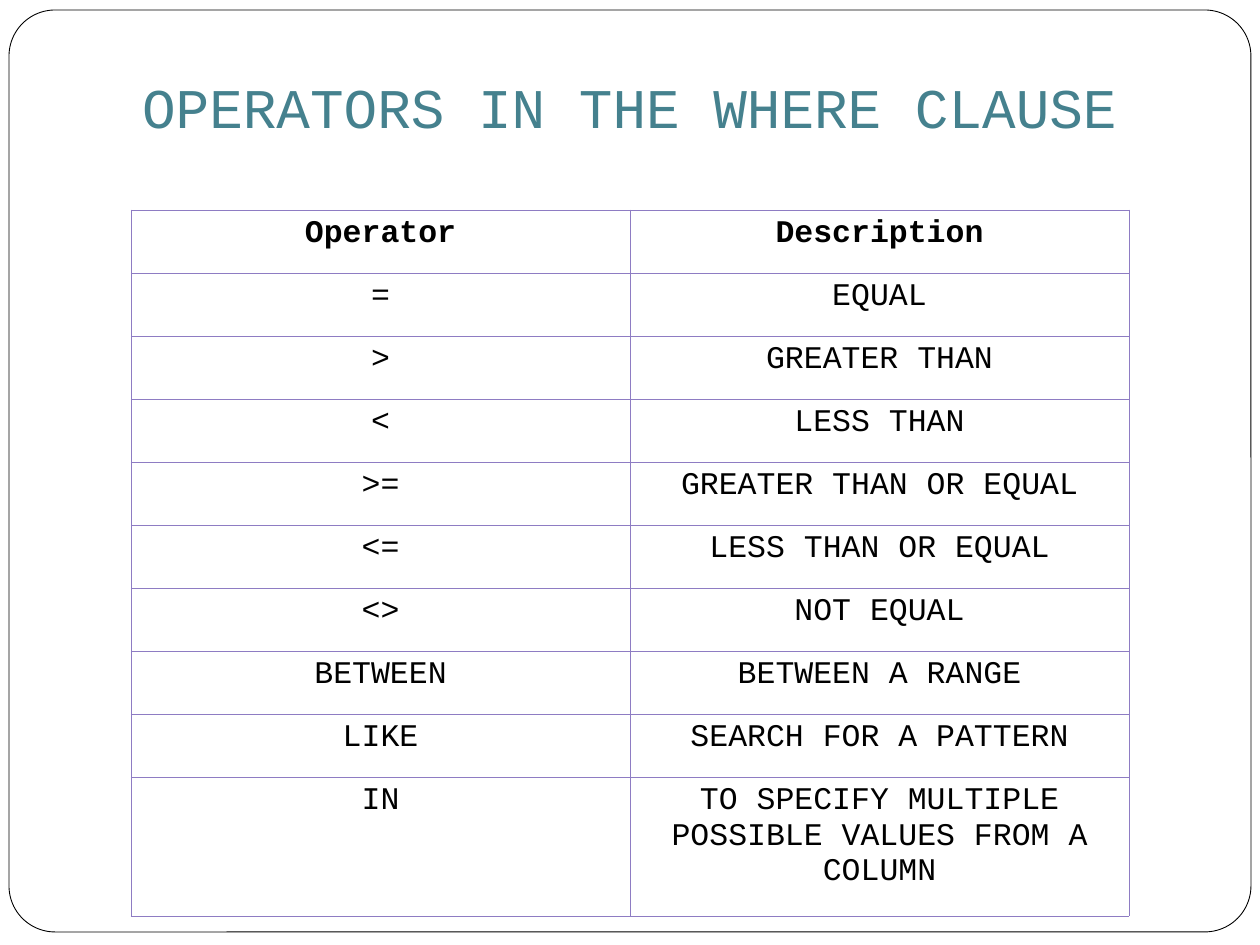
from dataclasses import dataclass

from lxml import etree
from pptx import Presentation
from pptx.dml.color import RGBColor
from pptx.enum.shapes import MSO_SHAPE
from pptx.enum.text import MSO_ANCHOR, PP_ALIGN
from pptx.oxml.ns import qn
from pptx.util import Emu, Pt

ROUND = MSO_SHAPE.ROUNDED_RECTANGLE
CENTER = PP_ALIGN.CENTER
TOP = MSO_ANCHOR.TOP
SCALE = 914400 / 126
SIDES = ("a:lnL", "a:lnR", "a:lnT", "a:lnB")


@dataclass(frozen=True)
class Theme:
    """Hold the colours, font and sizes of the slide."""
    font: str = "Courier New"
    paper: str = "FFFFFF"
    ink: str = "000000"
    head: str = "45818E"
    grid: str = "8E7CC3"
    title: int = 32
    body: int = 18
    rule: float = 0.34
    edge: float = 0.5


THEME = Theme()
ROWS = (
    ("Operator", "Description"),
    ("=", "EQUAL"),
    (">", "GREATER THAN"),
    ("<", "LESS THAN"),
    (">=", "GREATER THAN OR EQUAL"),
    ("<=", "LESS THAN OR EQUAL"),
    ("<>", "NOT EQUAL"),
    ("BETWEEN", "BETWEEN A RANGE"),
    ("LIKE", "SEARCH FOR A PATTERN"),
    ("IN", "TO SPECIFY MULTIPLE POSSIBLE VALUES FROM A COLUMN"),
)


def px(*nums):
    """Turn pixel lengths into EMU."""
    return [Emu(round(num * SCALE)) for num in nums]


def apply(item, values):
    """Set each named value on an item."""
    for name, value in values.items():
        setattr(item, name, value)


def write(frame, text, size, color, bold=False):
    """Write one centred paragraph into a text frame."""
    frame.word_wrap = True
    para = frame.paragraphs[0]
    para.alignment = CENTER
    run = para.add_run()
    run.text = text
    apply(run.font, {"name": THEME.font, "size": Pt(size), "bold": bold})
    run.font.color.rgb = RGBColor.from_string(color)


def add_frame(slide):
    """Draw the rounded frame around the slide."""
    shape = slide.shapes.add_shape(ROUND, *px(9, 10, 1242, 922))
    shape.adjustments[0] = 0.05
    shape.shadow.inherit = False
    shape.fill.solid()
    shape.fill.fore_color.rgb = RGBColor.from_string(THEME.paper)
    shape.line.color.rgb = RGBColor.from_string(THEME.ink)
    shape.line.width = Pt(THEME.edge)


def add_title(slide, text):
    """Place the slide title."""
    frame = slide.shapes.add_textbox(*px(43, 48, 1174, 79)).text_frame
    left, top, low = px(13, 24, 0)
    apply(frame, {"margin_left": left, "margin_right": left,
                  "margin_top": top, "margin_bottom": low,
                  "vertical_anchor": TOP})
    write(frame, text, THEME.title, THEME.head)


def rule_cell(cell):
    """Line all four sides of a cell."""
    props = cell._tc.get_or_add_tcPr()
    for side in SIDES:
        line = etree.SubElement(props, qn(side), w=str(Pt(THEME.rule)))
        fill = etree.SubElement(line, qn("a:solidFill"))
        etree.SubElement(fill, qn("a:srgbClr"), val=THEME.grid)


def add_grid(slide, rows):
    """Build the table of operators, with a taller last row."""
    size = len(rows), len(rows[0])
    table = slide.shapes.add_table(*size, *px(131, 210, 998, 706)).table
    apply(table, {"first_row": False, "horz_banding": False})
    short, tall = px(63, 139)
    for row in table.rows:
        row.height = short
    table.rows[len(rows) - 1].height = tall
    for r, row in enumerate(rows):
        for c, text in enumerate(row):
            cell = table.cell(r, c)
            rule_cell(cell)
            cell.fill.background()
            write(cell.text_frame, text, THEME.body, THEME.ink, r == 0)


def main():
    """Build and save the slide."""
    deck = Presentation()
    wide, high = px(1260, 945)
    apply(deck, {"slide_width": wide, "slide_height": high})
    slide = deck.slides.add_slide(deck.slide_layouts[6])
    add_frame(slide)
    add_title(slide, "OPERATORS IN THE WHERE CLAUSE")
    add_grid(slide, ROWS)
    deck.save("out.pptx")


if __name__ == "__main__":
    main()
